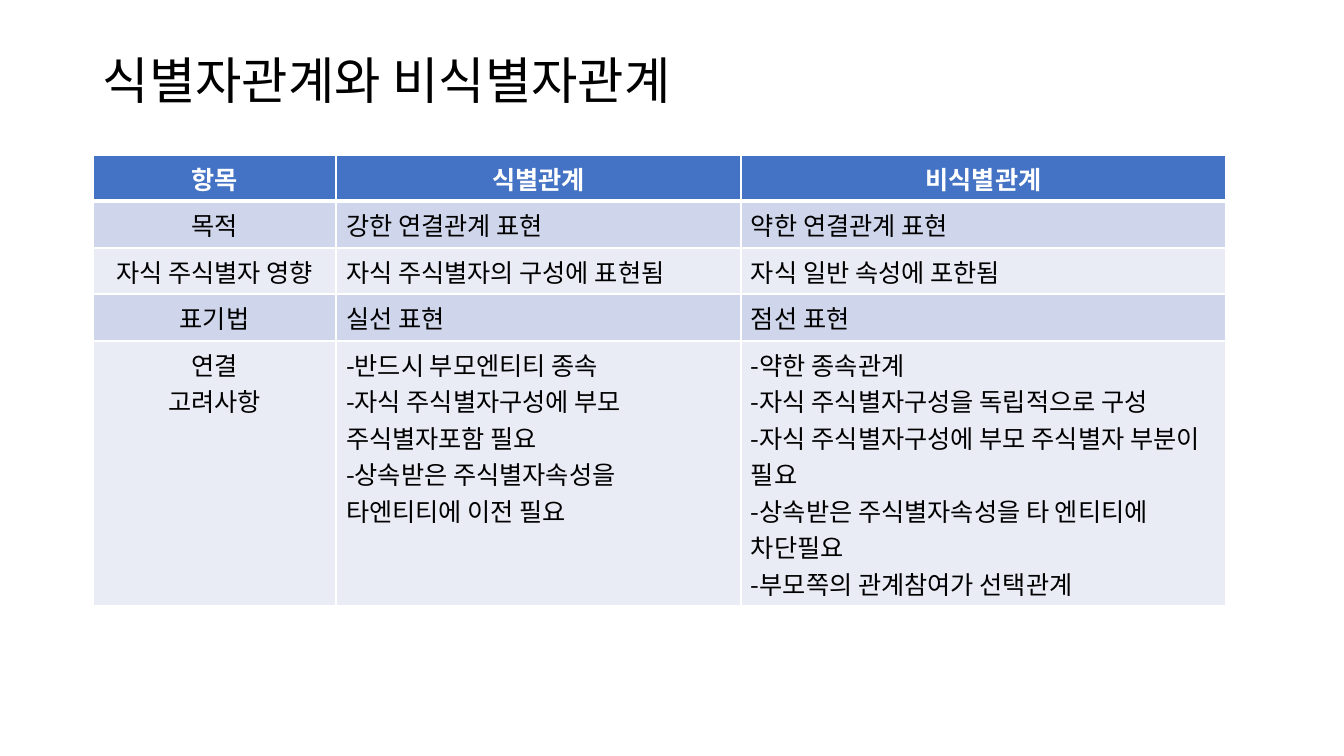
from lxml import etree
from pptx import Presentation
from pptx.dml.color import RGBColor
from pptx.enum.text import MSO_ANCHOR, PP_ALIGN
from pptx.oxml.ns import qn
from pptx.util import Pt

PX = 9144000 // 1008  # EMU in one px at 100.8 px to the inch
FONT = "Noto Sans CJK KR"
LEFT, CENTER, JUSTIFY = PP_ALIGN.LEFT, PP_ALIGN.CENTER, PP_ALIGN.JUSTIFY
MIDDLE = MSO_ANCHOR.MIDDLE

BLACK = RGBColor(0x00, 0x00, 0x00)
WHITE = RGBColor(0xFF, 0xFF, 0xFF)
HEADER_BLUE = RGBColor(0x44, 0x72, 0xC4)
BAND_DARK = RGBColor(0xCF, 0xD5, 0xEA)
BAND_LIGHT = RGBColor(0xE9, 0xEB, 0xF5)

TITLE = "식별자관계와 비식별자관계"
COLUMN_WIDTHS = [243, 405, 485]
ROW_HEIGHTS = [46, 47, 46, 47, 265]
COMPARISON = [
    ["항목", "식별관계", "비식별관계"],
    ["목적", "강한 연결관계 표현", "약한 연결관계 표현"],
    ["자식 주식별자 영향", "자식 주식별자의 구성에 표현됨", "자식 일반 속성에 포한됨"],
    ["표기법", "실선 표현", "점선 표현"],
    [
        "연결\n고려사항",
        "-반드시 부모엔티티 종속\n"
        "-자식 주식별자구성에 부모 주식별자포함 필요\n"
        "-상속받은 주식별자속성을 타엔티티에 이전 필요",
        "-약한 종속관계\n"
        "-자식 주식별자구성을 독립적으로 구성\n"
        "-자식 주식별자구성에 부모 주식별자 부분이 필요\n"
        "-상속받은 주식별자속성을 타 엔티티에 차단필요\n"
        "-부모쪽의 관계참여가 선택관계",
    ],
]


def px(length):
    return length * PX


def write_text(frame, text, size=18, color=BLACK, bold=False, align=LEFT, spacing=1.0):
    """Fill a text frame, one paragraph for each line of text."""
    frame.word_wrap = True
    for index, line in enumerate(text.split("\n")):
        paragraph = frame.add_paragraph() if index else frame.paragraphs[0]
        paragraph.alignment = align
        paragraph.line_spacing = spacing
        run = paragraph.add_run()
        run.text = line
        run.font.name = FONT
        run.font.size = Pt(size)
        run.font.bold = bold
        run.font.color.rgb = color
        east_asian = etree.SubElement(run.font._element, qn("a:ea"))
        east_asian.set("typeface", FONT)


def set_borders(cell, top, bottom):
    """Draw white cell borders; top and bottom widths are in points."""
    properties = cell._tc.get_or_add_tcPr()
    for side, width in (("L", 1), ("R", 1), ("T", top), ("B", bottom)):
        border = etree.SubElement(properties, qn(f"a:ln{side}"), w=str(Pt(width)))
        fill = etree.SubElement(border, qn("a:solidFill"))
        etree.SubElement(fill, qn("a:srgbClr"), val=str(WHITE))


def add_title(slide):
    frame = slide.shapes.add_textbox(px(93), px(40), px(1159), px(87)).text_frame
    frame.vertical_anchor = MIDDLE
    write_text(frame, TITLE, size=36, align=JUSTIFY, spacing=0.9)


def add_comparison(slide):
    table = slide.shapes.add_table(
        len(ROW_HEIGHTS), len(COLUMN_WIDTHS), px(93), px(155),
        px(sum(COLUMN_WIDTHS)), px(sum(ROW_HEIGHTS))).table
    for column, width in zip(table.columns, COLUMN_WIDTHS):
        column.width = px(width)
    for row, height in zip(table.rows, ROW_HEIGHTS):
        row.height = px(height)

    for r, entries in enumerate(COMPARISON):
        header = r == 0
        band = HEADER_BLUE if header else BAND_DARK if r % 2 else BAND_LIGHT
        for c, entry in enumerate(entries):
            cell = table.cell(r, c)
            set_borders(cell, top=3 if r == 1 else 1, bottom=3 if header else 1)
            cell.fill.solid()
            cell.fill.fore_color.rgb = band
            write_text(cell.text_frame, entry, bold=header,
                       color=WHITE if header else BLACK,
                       align=CENTER if header or c == 0 else LEFT)


def main():
    presentation = Presentation()
    presentation.slide_width = px(1344)
    presentation.slide_height = px(756)
    slide = presentation.slides.add_slide(presentation.slide_layouts[6])

    # Heading
    add_title(slide)
    # Comparison of the two relationships
    add_comparison(slide)

    presentation.save("out.pptx")


if __name__ == "__main__":
    main()
